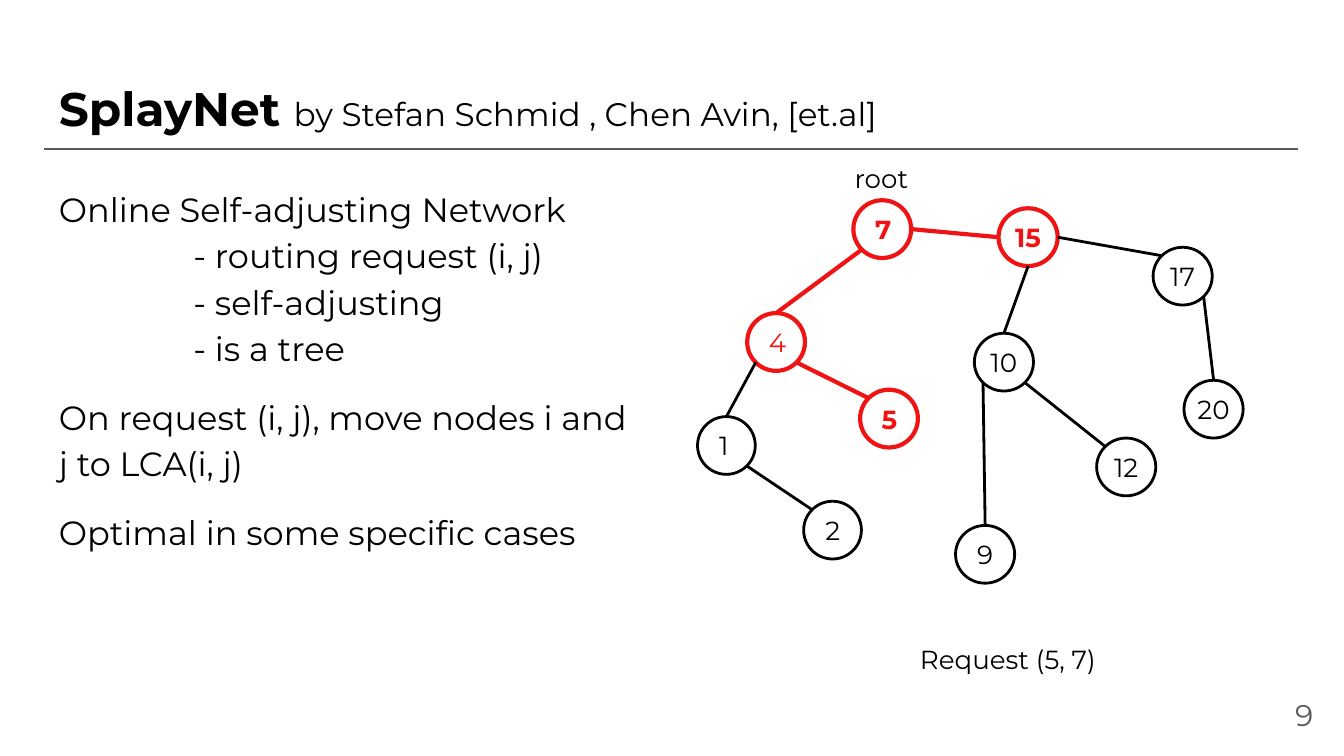
from dataclasses import dataclass
from math import sqrt

from lxml.etree import SubElement
from pptx import Presentation
from pptx.dml.color import RGBColor
from pptx.enum.shapes import MSO_CONNECTOR, MSO_SHAPE
from pptx.enum.text import MSO_ANCHOR as Anchor, PP_ALIGN as Align
from pptx.oxml.ns import qn
from pptx.util import Inches, Pt


@dataclass(frozen=True)
class Theme:
    font: str = "Montserrat"
    ink: RGBColor = RGBColor(0x00, 0x00, 0x00)
    muted: RGBColor = RGBColor(0x59, 0x59, 0x59)
    route: RGBColor = RGBColor(0xF0, 0x13, 0x13)
    paper: RGBColor = RGBColor(0xFF, 0xFF, 0xFF)
    title_size: float = 25.2
    authors_size: float = 17.5
    body_size: float = 18
    number_size: float = 16
    label_size: float = 14
    rule_width: float = 0.75
    line_width: float = 1.5
    route_width: float = 2.25


THEME = Theme()
SLIDE_WIDTH = 10
SLIDE_HEIGHT = SLIDE_WIDTH * 9 / 16
NODE_HEIGHT = 0.43

# key: (left, top)
NODES = {
    7: (6.35, 1.49), 4: (5.56, 2.33), 2: (5.98, 3.73), 1: (5.19, 3.10),
    15: (7.43, 1.55), 5: (6.40, 2.90), 10: (7.25, 2.48), 17: (8.58, 1.84),
    9: (7.11, 3.91), 12: (8.16, 3.26), 20: (8.81, 2.83),
}
ROUTE_NODES = {7, 4, 15, 5}
BOLD_NODES = {7, 15, 5}

# (node, side, node, side, on the highlighted route)
EDGES = [
    (4, "top", 7, "bottom left", True),
    (7, "right", 15, "left", True),
    (15, "bottom", 10, "top", False),
    (15, "right", 17, "top left", False),
    (4, "bottom right", 5, "top left", True),
    (4, "bottom left", 1, "top", False),
    (2, "top left", 1, "bottom right", False),
    (10, "bottom left", 9, "top", False),
    (10, "bottom right", 12, "top left", False),
    (17, "bottom right", 20, "top", False),
]

BODY = [
    "Online Self-adjusting Network\v\t- routing request (i, j)"
    "\v\t- self-adjusting\v\t- is a tree",
    "On request (i, j), move nodes i and j to LCA(i, j)",
    "Optimal in some specific cases",
]


def style_font(font, size, color=THEME.ink, bold=False):
    font.name, font.size, font.bold = THEME.font, Pt(size), bold
    font.color.rgb = color


def set_margins(frame, margin):
    frame.margin_left = frame.margin_right = Inches(margin)
    frame.margin_top = frame.margin_bottom = Inches(margin)


def add_tab_stop(paragraph, position):
    stops = SubElement(paragraph._p.get_or_add_pPr(), qn("a:tabLst"))
    SubElement(stops, qn("a:tab"), pos=str(Inches(position)), algn="l")


def add_text(slide, box, texts, size, color=THEME.ink, align=Align.LEFT,
             anchor=Anchor.TOP, spacing=None, gap=0):
    """Add a text box with one paragraph per text, gap points apart."""
    frame = slide.shapes.add_textbox(*map(Inches, box)).text_frame
    frame.word_wrap = True
    frame.vertical_anchor = anchor
    set_margins(frame, 0.1)
    for index, text in enumerate(texts):
        paragraph = frame.add_paragraph() if index else frame.paragraphs[0]
        paragraph.text = text
        paragraph.alignment = align
        if spacing:
            paragraph.line_spacing = spacing
        if index:
            paragraph.space_before = Pt(gap)
        if "\t" in text:
            add_tab_stop(paragraph, 1)
        style_font(paragraph.font, size, color)
    return frame


def add_title(slide):
    frame = add_text(slide, (0.34, 0.49, 9.32, 0.63), ["SplayNet "],
                     THEME.title_size)
    heading = frame.paragraphs[0]
    style_font(heading.runs[0].font, THEME.title_size, bold=True)
    authors = heading.add_run()
    authors.text = "by Stefan Schmid , Chen Avin, [et.al]"
    style_font(authors.font, THEME.authors_size)


def add_line(slide, start, end, color, width):
    line = slide.shapes.add_connector(
        MSO_CONNECTOR.STRAIGHT, *map(Inches, (*start, *end)))
    line.line.color.rgb = color
    line.line.width = Pt(width)
    SubElement(line._element.spPr, qn("a:effectLst"))


def in_right_subtree(key):
    return key > 7


def node_width(key):
    return 0.44 if in_right_subtree(key) else NODE_HEIGHT


def add_node(slide, key):
    on_route = key in ROUTE_NODES
    color = THEME.route if on_route else THEME.ink
    node = slide.shapes.add_shape(
        MSO_SHAPE.OVAL,
        *map(Inches, (*NODES[key], node_width(key), NODE_HEIGHT)))
    node.shadow.inherit = False
    node.fill.solid()
    node.fill.fore_color.rgb = THEME.paper
    node.line.color.rgb = color
    node.line.width = Pt(THEME.route_width if on_route else THEME.line_width)
    centred = in_right_subtree(key)
    frame = node.text_frame
    frame.word_wrap = True
    set_margins(frame, 0 if centred else 0.1)
    frame.vertical_anchor = Anchor.MIDDLE
    label = frame.paragraphs[0]
    label.text = str(key)
    label.alignment = Align.CENTER if centred else Align.LEFT
    style_font(label.font, THEME.label_size, color, key in BOLD_NODES)


def rim_point(key, side):
    """Return the point on a node's rim at the named side or diagonal."""
    dx = ("right" in side) - ("left" in side)
    dy = ("bottom" in side) - ("top" in side)
    reach = 1 / sqrt(dx * dx + dy * dy)
    left, top = NODES[key]
    return (left + node_width(key) / 2 * (1 + dx * reach),
            top + NODE_HEIGHT / 2 * (1 + dy * reach))


def add_tree(slide):
    for key in NODES:
        add_node(slide, key)
    for first, first_side, second, second_side, on_route in EDGES:
        add_line(slide, rim_point(first, first_side),
                 rim_point(second, second_side),
                 THEME.route if on_route else THEME.ink,
                 THEME.route_width if on_route else THEME.line_width)
    add_text(slide, (6.26, 1.11, 0.61, 0.44), ["root"], THEME.label_size)
    add_text(slide, (5.75, 4.69, 3.5, 0.44), ["Request (5, 7)"],
             THEME.label_size, align=Align.CENTER)


def main():
    deck = Presentation()
    deck.slide_width = Inches(SLIDE_WIDTH)
    deck.slide_height = Inches(SLIDE_HEIGHT)
    slide = deck.slides.add_slide(deck.slide_layouts[6])
    add_line(slide, (0.33, 1.11), (9.66, 1.11), THEME.muted, THEME.rule_width)
    add_title(slide)
    add_text(slide, (0.34, 1.26, 4.54, 3.74), BODY, THEME.body_size,
             spacing=1.15, gap=12)
    add_text(slide, (9.27, 5.1, 0.6, 0.43), ["9"], THEME.number_size,
             THEME.muted, Align.RIGHT, Anchor.MIDDLE)
    add_tree(slide)
    deck.save("out.pptx")


if __name__ == "__main__":
    main()
